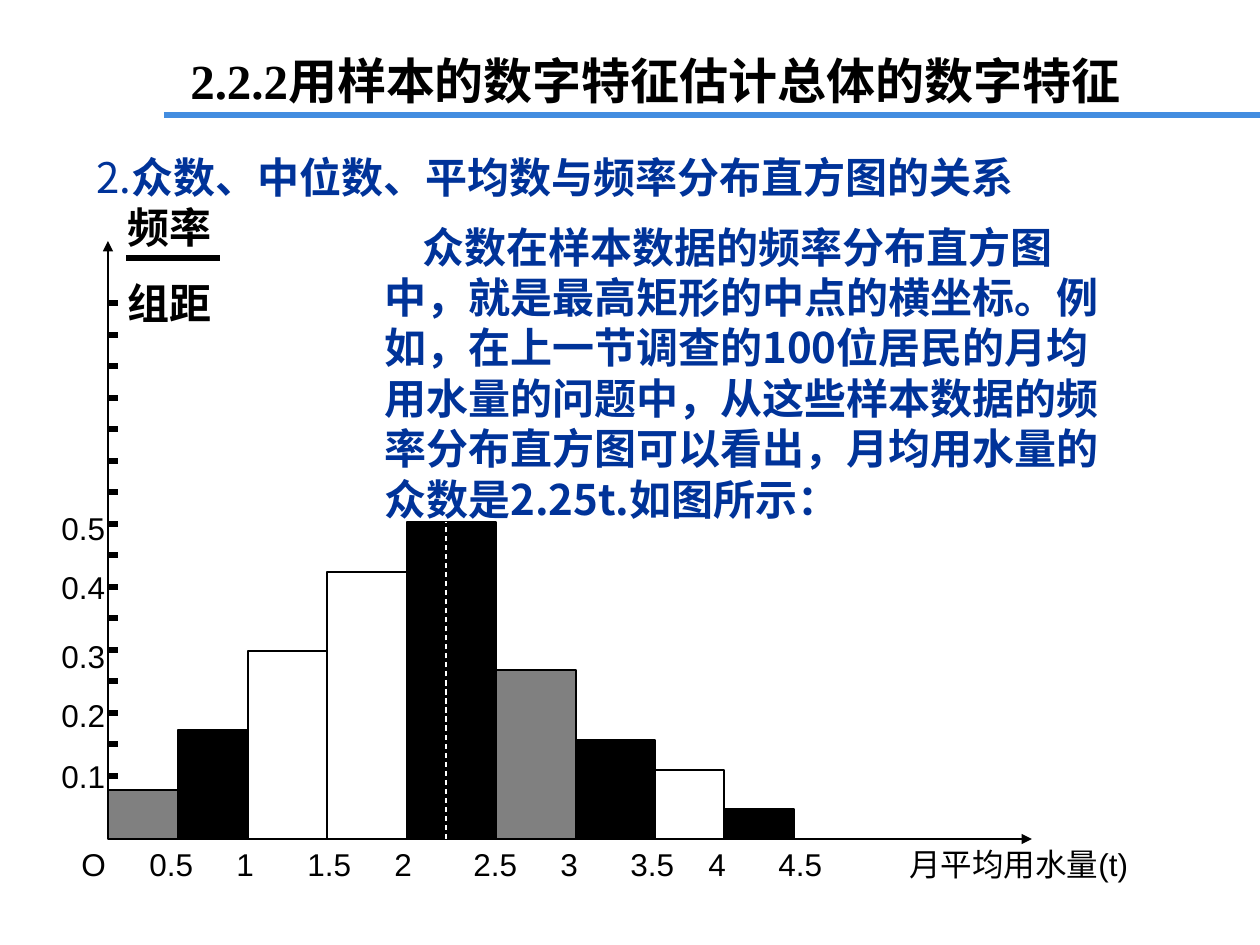
from dataclasses import dataclass

from lxml import etree
from pptx import Presentation
from pptx.dml.color import RGBColor
from pptx.enum.dml import MSO_LINE
from pptx.enum.shapes import MSO_CONNECTOR, MSO_SHAPE
from pptx.oxml.ns import qn
from pptx.util import Emu, Inches, Pt

STRAIGHT = MSO_CONNECTOR.STRAIGHT
RECTANGLE = MSO_SHAPE.RECTANGLE
DASH = MSO_LINE.DASH
PX_PER_INCH = 126


@dataclass(frozen=True)
class Theme:
    ink: str = "000000"
    paper: str = "FFFFFF"
    grey: str = "808080"
    navy: str = "003399"
    rule: str = "438DE0"
    title_font: str = "Times New Roman"
    body_font: str = "Noto Sans CJK SC"
    axis_font: str = "Arial"
    title_size: int = 28
    body_size: int = 24
    axis_size: int = 18
    thin: float = 0.75
    thick: float = 3


THEME = Theme()
# (width, height, fill) of each class interval, left to right
BARS = [
    (70, 49, THEME.grey), (70, 109, THEME.ink), (79, 188, THEME.paper),
    (80, 267, THEME.paper), (89, 317, THEME.ink), (80, 169, THEME.grey),
    (79, 99, THEME.ink), (69, 69, THEME.paper), (70, 30, THEME.ink),
]
# label and its distance from the start of the axis caption
X_LABELS = [
    ("O", 0), ("0.5", 68), ("1", 155), ("1.5", 226), ("2", 313), ("2.5", 392),
    ("3", 479), ("3.5", 549), ("4", 627), ("4.5", 697), ("月平均用水量(t)", 828),
]
# label and its height above the horizontal axis
Y_LABELS = [("0.1", 88), ("0.2", 149), ("0.3", 208), ("0.4", 277), ("0.5", 336)]
TICKS, TICK_SPAN, TICK_LENGTH = 17, 536, 10


def px(length):
    return Emu(round(length * Inches(1) / PX_PER_INCH))


def add_line(slide, start, end, color, width, arrow=False, dash=None):
    line = slide.shapes.add_connector(STRAIGHT, *map(px, (*start, *end)))
    line.line.color.rgb = RGBColor.from_string(color)
    line.line.width = Pt(width)
    if dash is not None:
        line.line.dash_style = dash
    if arrow:
        etree.SubElement(line.line._get_or_add_ln(), qn("a:tailEnd"), type="triangle")
    etree.SubElement(line._element.spPr, qn("a:effectLst"))


def add_text(slide, box, lines, font, size, color, bold=None, indent=0, gap=0, tabs=()):
    """Add a text box; each line is a list of (text, bold) runs or a plain string."""
    frame = slide.shapes.add_textbox(*map(px, box)).text_frame
    frame.word_wrap = True
    for number, line in enumerate(lines):
        paragraph = frame.paragraphs[0] if number == 0 else frame.add_paragraph()
        if number:
            paragraph.space_before = Pt(gap)
        properties = paragraph._p.get_or_add_pPr()
        properties.set("hangingPunct", "0")
        if indent:
            properties.set("marL", "0")
            properties.set("indent", str(px(indent)))
        if tabs:
            stops = etree.SubElement(properties, qn("a:tabLst"))
            for stop in tabs:
                etree.SubElement(stops, qn("a:tab"), pos=str(px(stop)), algn="l")
        paragraph.font.name = font
        paragraph.font.size = Pt(size)
        paragraph.font.color.rgb = RGBColor.from_string(color)
        paragraph.font.bold = bold
        for text, run_bold in [(line, None)] if isinstance(line, str) else line:
            run = paragraph.add_run()
            run.text = text
            if run_bold:
                run.font.bold = True


def add_header(slide, left, top, width, height):
    add_text(slide, (left, top, width, height), ["2.2.2用样本的数字特征估计总体的数字特征"],
             THEME.title_font, THEME.title_size, THEME.ink, bold=True, indent=24)
    rule_y = top + height - 1
    add_line(slide, (left + 10, rule_y), (1260, rule_y), THEME.rule, THEME.thick)


def add_explanation(slide, left, top, width, height):
    """Place the section heading, with the paragraph on the mode below it."""
    style = (THEME.body_font, THEME.body_size, THEME.navy)
    heading = [("2.", False), ("众数、中位数、平均数与频率分布直方图的关系", True)]
    add_text(slide, (left, top, width, 63), [heading], *style)
    add_text(slide, (left + 288, top + 70, 764, height - 70), [
        "众数在样本数据的频率分布直方图中，就是最高矩形的中点的横坐标。"
        "例如，在上一节调查的100位居民的月均用水量的问题中，"
        "从这些样本数据的频率分布直方图可以看出，月均用水量的众数是2.25t.如图所示："],
        *style, bold=True, indent=38)


def add_axes(slide, left, top, width, height):
    base = top + height
    origin = (left, base)
    add_line(slide, origin, (left + width, base), THEME.ink, THEME.thin, arrow=True)
    add_line(slide, origin, (left, top), THEME.ink, THEME.thin, arrow=True)
    for tick in range(1, TICKS + 1):
        y = base - round(tick * TICK_SPAN / TICKS)
        add_line(slide, (left, y), (left + TICK_LENGTH, y), THEME.ink, THEME.thick)

    add_text(slide, (left + 7, top - 46, 136, 140), ["频率", "组距"],
             THEME.title_font, THEME.body_size, THEME.ink, bold=True, gap=15)
    add_line(slide, (left + 18, top + 17), (left + 112, top + 17), THEME.ink, THEME.thick)

    style = (THEME.axis_font, THEME.axis_size, THEME.ink)
    for label, rise in Y_LABELS:
        add_text(slide, (left - 59, base - rise, 80, 50), [label], *style)
    labels, stops = zip(*X_LABELS)
    add_text(slide, (left - 39, base, 1096, 50), ["\t".join(labels)], *style, tabs=stops[1:])


def add_bars(slide, left, base):
    for width, height, fill in BARS:
        bar = slide.shapes.add_shape(
            RECTANGLE, *map(px, (left, base - height, width, height)))
        bar.shadow.inherit = False
        bar.fill.solid()
        bar.fill.fore_color.rgb = RGBColor.from_string(fill)
        bar.line.color.rgb = RGBColor.from_string(THEME.ink)
        bar.line.width = Pt(THEME.thin)
        left += width


def add_histogram(slide, left, top, width, height):
    base = top + height
    add_axes(slide, left, top, width, height)
    add_bars(slide, left, base)
    mode_x = left + 338
    mode_height = max(bar_height for _, bar_height, _ in BARS)
    add_line(slide, (mode_x, base), (mode_x, base - mode_height),
             THEME.paper, THEME.thin, dash=DASH)


def main():
    deck = Presentation()
    deck.slide_width, deck.slide_height = Inches(10), Inches(7.5)
    slide = deck.slides.add_slide(deck.slide_layouts[6])
    add_header(slide, 154, 44, 1022, 72)
    add_explanation(slide, 84, 145, 1111, 384)
    add_histogram(slide, 108, 241, 924, 598)
    deck.save("out.pptx")


if __name__ == "__main__":
    main()
